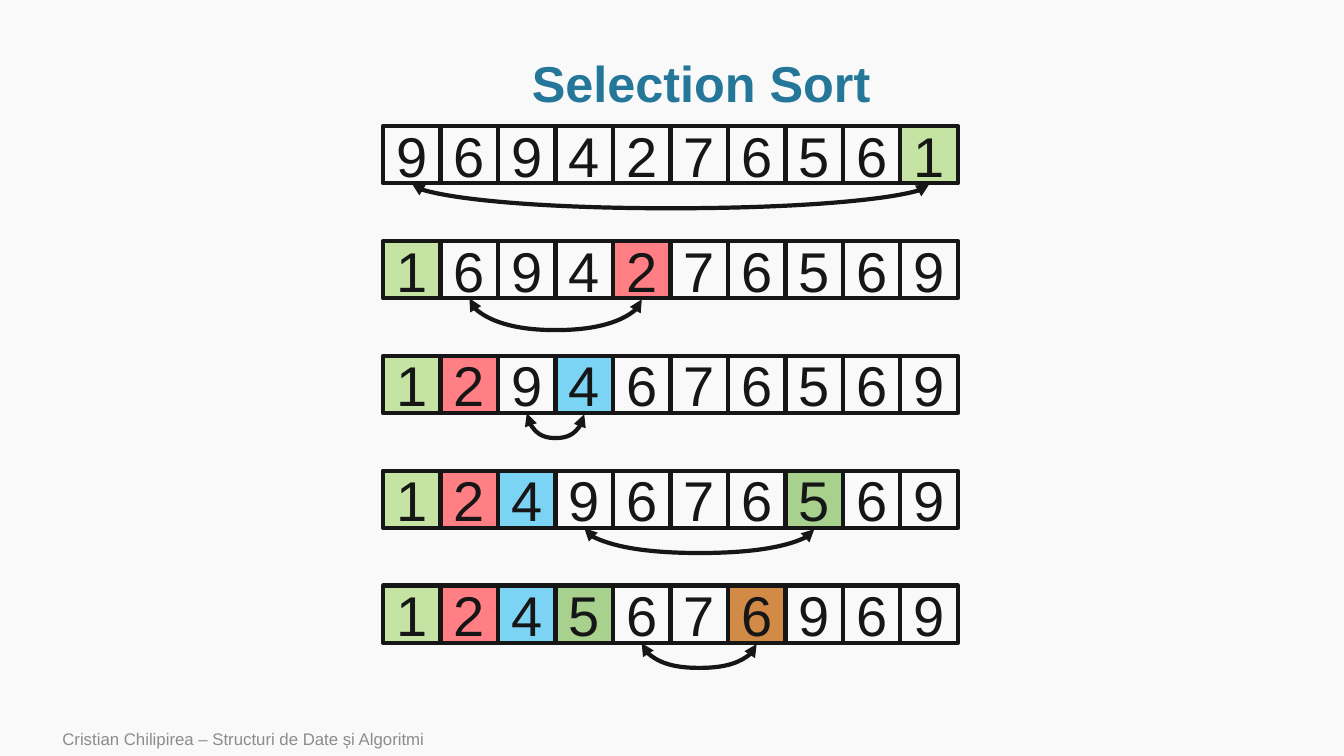
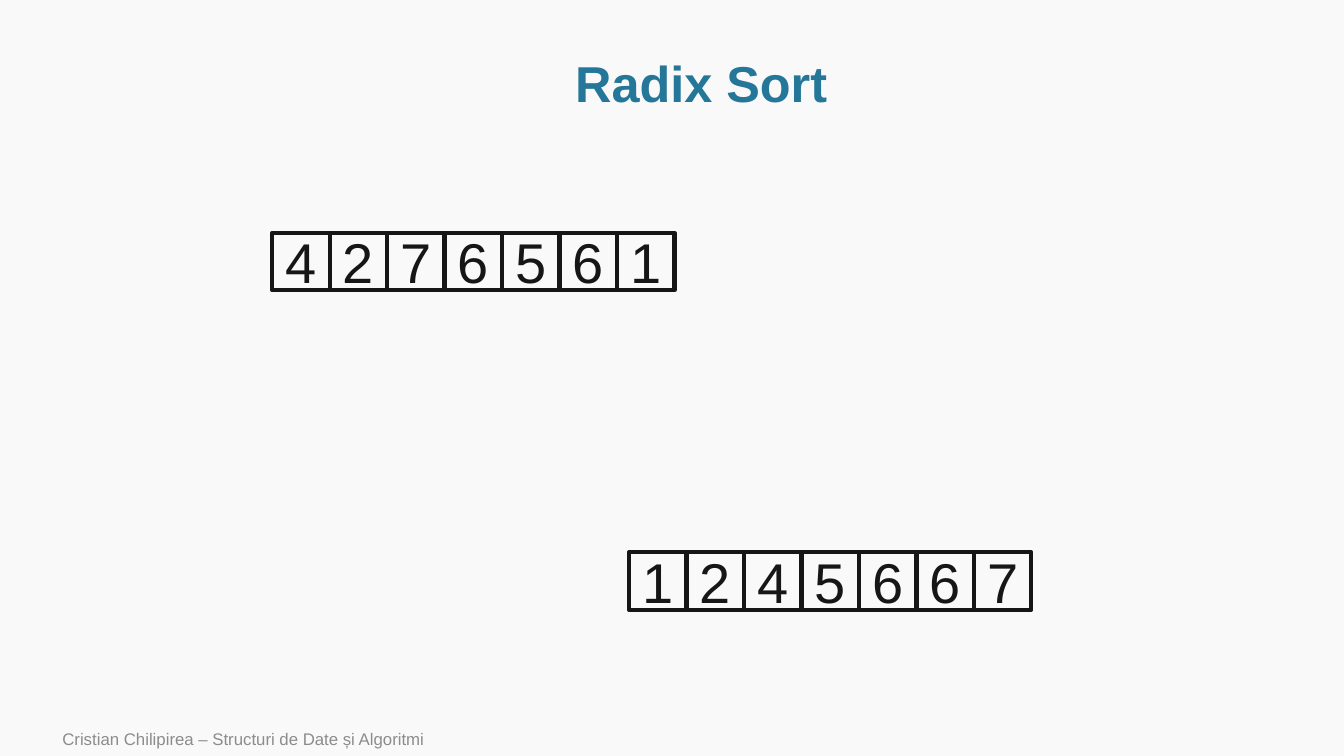
"""Build two slides about sorting algorithms."""
from dataclasses import dataclass

from lxml import etree
from pptx import Presentation
from pptx import util as u
from pptx.dml import color
from pptx.enum import shapes, text
from pptx.oxml import ns


@dataclass(frozen=True)
class Theme:
    """Colours, font and sizes shared by the slides."""
    font: str = "Arial"
    paper: str = "F9F9F9"
    ink: str = "171616"
    heading: str = "247798"
    muted: str = "8C8C8C"
    accents: tuple = ("C5E4A4", "FF7F85", "7CD4F4", "A9D18E", "D18B47")
    title_size: int = 36
    digit_size: int = 40
    footer_size: int = 12
    stroke: int = 3
    cell: float = 0.57
    row_pitch: float = 1.14
    arc_slant: float = 0.01


THEME = Theme()
TITLE_BOX = (1.14, 0.51, 11.63, 0.69)
FOOTER_BOX = (0.52, 7.16, 8.4, 0.34)
FOOTER = "Cristian Chilipirea – Structuri de Date și Algoritmi"


def rgb(value):
    """Turn a hex string into a colour."""
    return color.RGBColor.from_string(value)


def write(shape, words, size, ink, align, bold=False):
    """Set one middle-anchored paragraph in a shape and return it."""
    frame = shape.text_frame
    frame.word_wrap = True
    frame.vertical_anchor = text.MSO_ANCHOR.MIDDLE
    para = frame.paragraphs[0]
    para.text = words
    para.alignment = align
    font = para.font
    font.name, font.size, font.bold = THEME.font, u.Pt(size), bold
    font.color.rgb = rgb(ink)
    return para


def add_page(deck, title):
    """Add a blank slide with its title and footer."""
    page = deck.slides.add_slide(deck.slide_layouts[6])
    heading = page.shapes.add_textbox(*map(u.Inches, TITLE_BOX))
    para = write(heading, title, THEME.title_size, THEME.heading,
                 text.PP_ALIGN.CENTER, bold=True)
    para.line_spacing = 0.9
    footer = page.shapes.add_textbox(*map(u.Inches, FOOTER_BOX))
    write(footer, FOOTER, THEME.footer_size, THEME.muted, text.PP_ALIGN.LEFT)
    return page


def add_array(page, left, top, digits, fills=None):
    """Draw digits as a row of cells, filling the given indexes."""
    fills = fills or {}
    for index, digit in enumerate(digits):
        cell = page.shapes.add_shape(
            shapes.MSO_SHAPE.RECTANGLE, u.Inches(left + index * THEME.cell),
            u.Inches(top), u.Inches(THEME.cell), u.Inches(THEME.cell))
        cell.shadow.inherit = False
        cell.line.color.rgb = rgb(THEME.ink)
        cell.line.width = u.Pt(THEME.stroke)
        if index in fills:
            cell.fill.solid()
            cell.fill.fore_color.rgb = rgb(fills[index])
        else:
            cell.fill.background()
        write(cell, digit, THEME.digit_size, THEME.ink, text.PP_ALIGN.CENTER)


def add_swap_arc(page, start, end, top, depth):
    """Draw a double-headed arc hanging below two cells."""
    span, slant = end - start, THEME.arc_slant
    left, middle = (start + end - slant) / 2, top + slant / 2
    arc = page.shapes.add_connector(
        shapes.MSO_CONNECTOR.CURVE, u.Inches(left), u.Inches(middle - span / 2),
        u.Inches(left + slant), u.Inches(middle + span / 2))
    arc.line.color.rgb = rgb(THEME.ink)
    arc.line.width = u.Pt(THEME.stroke)
    properties = arc._element.spPr
    frame = properties.find(ns.qn("a:xfrm"))
    frame.set("rot", str(270 * 60000))
    frame.set("flipH", "1")
    guides = properties.find(ns.qn("a:prstGeom")).get_or_add_avLst()
    etree.SubElement(guides, ns.qn("a:gd"), name="adj1",
                     fmla=f"val {round(depth / slant * 100000)}")
    outline = properties.find(ns.qn("a:ln"))
    for tip in ("a:headEnd", "a:tailEnd"):
        etree.SubElement(outline, ns.qn(tip), type="triangle")
    etree.SubElement(properties, ns.qn("a:effectLst"))


def selection_sort(deck):
    """Show five selection steps, each swapping a pick into place."""
    page = add_page(deck, "Selection Sort")
    left, top = 3.8, 1.25
    digits = list("9694276561")
    steps = ((9, 0.25), (4, 0.32), (3, 0.25), (7, 0.25), (6, 0.25))
    for step, (pick, depth) in enumerate(steps):
        row_top = top + step * THEME.row_pitch
        fills = dict(enumerate(THEME.accents[:step]))
        fills[pick] = THEME.accents[step]
        add_array(page, left, row_top, digits, fills)
        start, end = (left + (index + 0.5) * THEME.cell for index in (step, pick))
        add_swap_arc(page, start, end, row_top + THEME.cell, depth)
        digits[step], digits[pick] = digits[pick], digits[step]


def radix_sort(deck):
    """Show the array before and after sorting."""
    page = add_page(deck, "Radix Sort")
    digits = "4276561"
    add_array(page, 2.7, 2.31, digits)
    add_array(page, 6.24, 5.48, sorted(digits))


def main():
    """Build and save the deck."""
    deck = Presentation()
    deck.slide_width, deck.slide_height = u.Inches(13.33), u.Inches(7.5)
    background = deck.slide_master.background.fill
    background.solid()
    background.fore_color.rgb = rgb(THEME.paper)
    selection_sort(deck)
    radix_sort(deck)
    deck.save("out.pptx")


if __name__ == "__main__":
    main()
